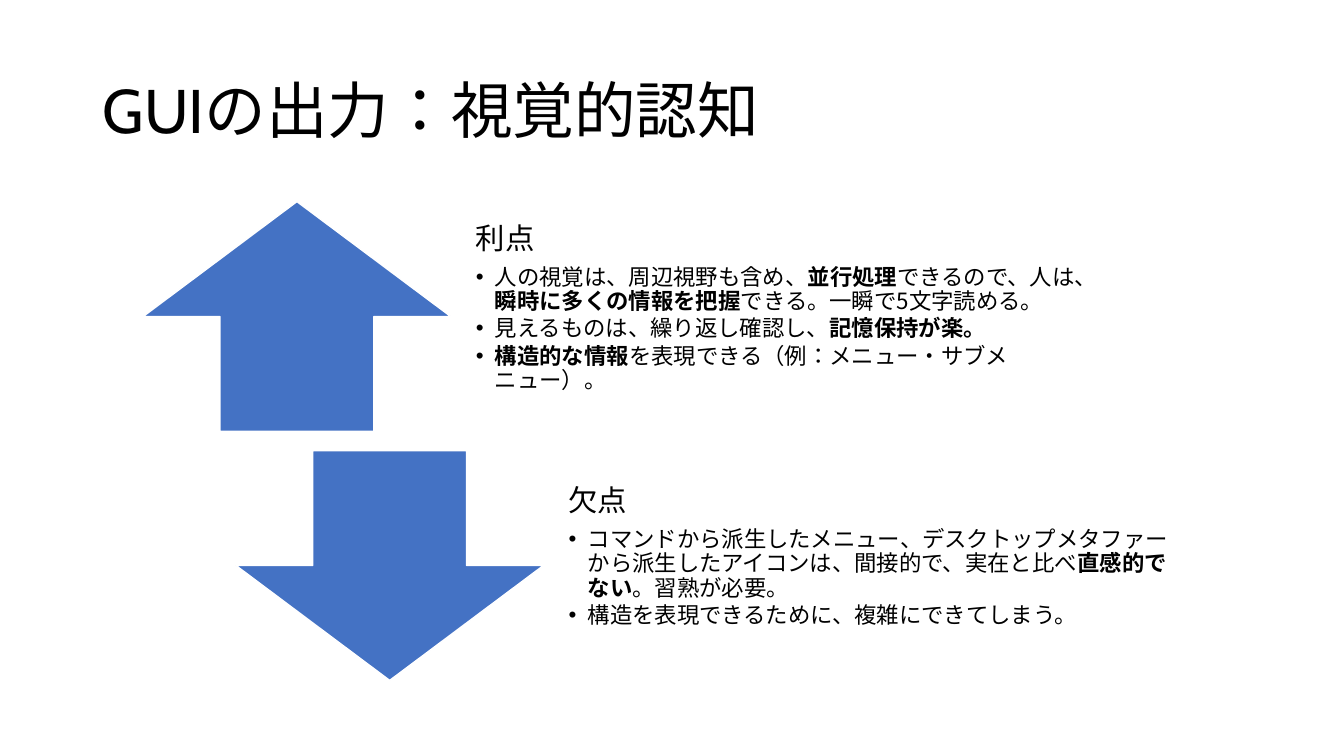
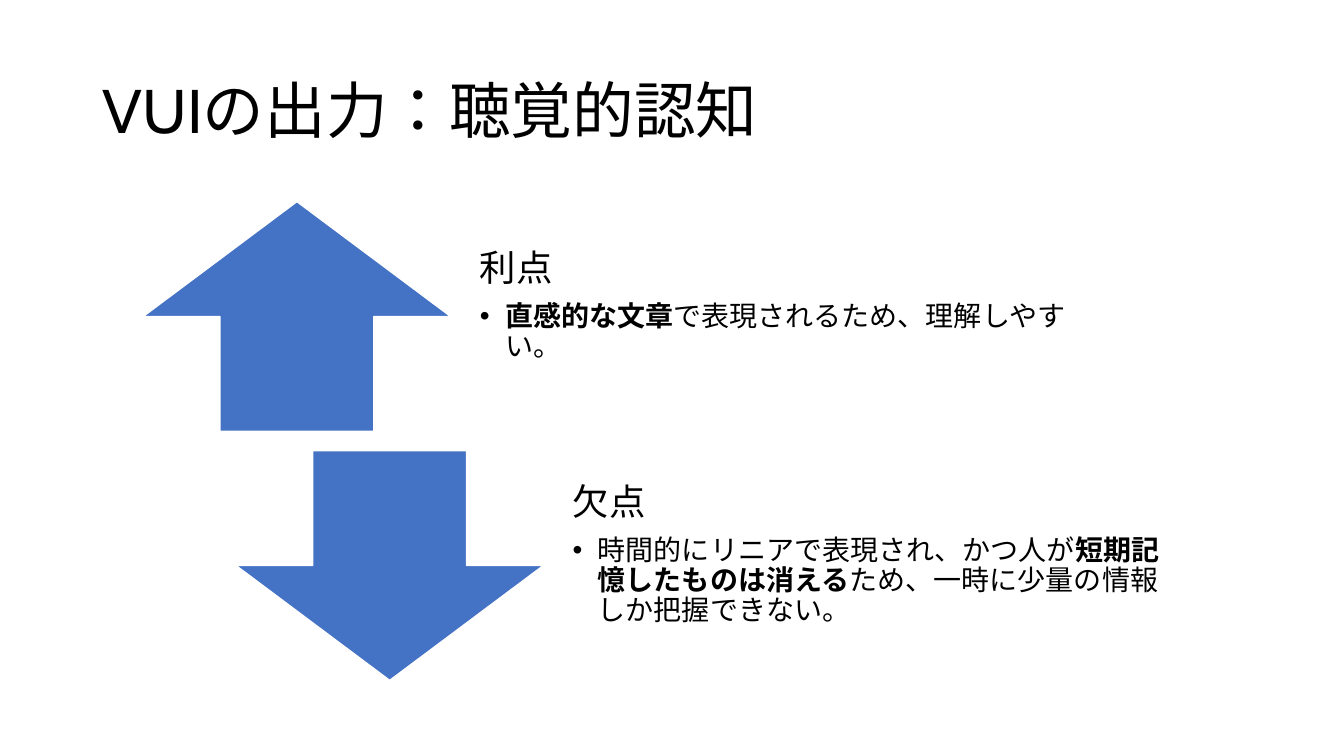
from lxml import etree
from pptx import Presentation
from pptx.dml.color import RGBColor
from pptx.enum.lang import MSO_LANGUAGE_ID
from pptx.enum.shapes import MSO_SHAPE
from pptx.enum.text import MSO_ANCHOR, MSO_AUTO_SIZE, PP_ALIGN
from pptx.oxml.ns import qn
from pptx.util import Inches, Pt

UP, DOWN = MSO_SHAPE.UP_ARROW, MSO_SHAPE.DOWN_ARROW
MIDDLE, LEFT = MSO_ANCHOR.MIDDLE, PP_ALIGN.LEFT
FIXED = MSO_AUTO_SIZE.NONE
JAPANESE = MSO_LANGUAGE_ID.JAPANESE
TITLE_ONLY = 5
COLORS = {"text": "000000", "arrow": "4472C4", "edge": "FFFFFF"}
CABIN, NOTO = "Cabin", "Noto Sans CJK JP"

# Arrow and text panel; the second pair is one step right and down.
X, Y, STEP_X, STEP_Y = 1.42, 2, 0.92, 2.47
ARROW_W, TEXT_W, TEXT_DX, HIGH = 3.05, 6.44, 3.14, 2.28

# Each panel: arrow, heading, bullets as (font, text); *stars* mark bold.
SLIDES = [
    {"title": "GUIの出力：視覚的認知", "head": 21, "size": 16, "indent": 0.19,
     "panels": [
         (UP, "利点", [
             (NOTO, "人の視覚は、周辺視野も含め、*並行処理*できるので、人は、"
                    "*瞬時に多くの情報を把握*できる。一瞬で5文字読める。"),
             (NOTO, "見えるものは、繰り返し確認し、*記憶保持が楽。*"),
             (CABIN, "*構造的な情報*を表現できる（例：メニュー・サブメニュー）。")]),
         (DOWN, "欠点", [
             (NOTO, "コマンドから派生したメニュー、デスクトップメタファーから"
                    "派生したアイコンは、間接的で、実在と比べ*直感的でない*。"
                    "習熟が必要。"),
             (CABIN, "構造を表現できるために、複雑にできてしまう。")])]},
    {"title": "VUIの出力：聴覚的認知", "head": 26, "size": 20, "indent": 0.25,
     "panels": [
         (UP, "利点", [
             (NOTO, "*直感的な文章*で表現されるため、理解しやすい。")]),
         (DOWN, "欠点", [
             (NOTO, "時間的にリニアで表現され、かつ人が*短期記憶したものは"
                    "消える*ため、一時に少量の情報しか把握できない。")])]},
]


class Deck:
    """Holds the shared style and the current slide."""

    def __init__(self):
        """Start an empty wide deck."""
        self.prs = Presentation()
        self.prs.slide_width, self.prs.slide_height = Inches(13.33), Inches(7.5)
        self.slide = None

    def color(self, name):
        """Return a named colour."""
        return RGBColor.from_string(COLORS[name])

    def add_runs(self, para, text, size, font):
        """Add text run by run, bold between stars."""
        para.line_spacing = 0.9
        for i, part in enumerate(text.split("*")):
            if not part:
                continue
            run = para.add_run()
            run.text = part
            face = run.font
            face.size, face.name, face.bold = Pt(size), font, i % 2 == 1
            face.color.rgb = self.color("text")
            face.language_id = JAPANESE
            east = etree.Element(qn("a:ea"), typeface=NOTO)
            run._r.rPr.find(qn("a:latin")).addnext(east)

    def gap(self, para, percent):
        """Set the space after a paragraph as a share of its line."""
        after = etree.SubElement(para._p.get_or_add_pPr(), qn("a:spcAft"))
        etree.SubElement(after, qn("a:spcPct"), val=str(percent * 1000))

    def bullet(self, para, indent):
        """Give a paragraph a hanging bullet."""
        props = para._p.get_or_add_pPr()
        props.set("marL", str(Inches(indent)))
        props.set("indent", str(-Inches(indent)))
        etree.SubElement(props, qn("a:buFont"), typeface="Arial")
        etree.SubElement(props, qn("a:buChar"), char="•")

    def title(self, text):
        """Add a slide and fill its title."""
        layout = self.prs.slide_layouts[TITLE_ONLY]
        self.slide = self.prs.slides.add_slide(layout)
        box = self.slide.shapes.title
        box.left, box.top = Inches(0.92), Inches(0.4)
        box.width, box.height = Inches(11.5), Inches(1.45)
        frame = box.text_frame
        frame.auto_size, frame.vertical_anchor = FIXED, MIDDLE
        frame.word_wrap = True
        para = frame.paragraphs[0]
        para.alignment = LEFT
        self.add_runs(para, text, 44, CABIN)

    def arrow(self, kind, x, y):
        """Draw a block arrow."""
        shape = self.slide.shapes.add_shape(
            kind, Inches(x), Inches(y), Inches(ARROW_W), Inches(HIGH))
        shape.shadow.inherit = False
        shape.fill.solid()
        shape.fill.fore_color.rgb = self.color("arrow")
        shape.line.color.rgb = self.color("edge")
        shape.line.width = Pt(1)

    def panel(self, x, y, head, points, style):
        """Place a heading with its bullets."""
        box = self.slide.shapes.add_textbox(
            Inches(x), Inches(y), Inches(TEXT_W), Inches(HIGH))
        frame = box.text_frame
        frame.word_wrap, frame.vertical_anchor = True, MIDDLE
        inset = Inches(style["size"] / 100)
        frame.margin_left = frame.margin_right = frame.margin_bottom = inset
        frame.margin_top = 0
        para = frame.paragraphs[0]
        self.add_runs(para, head, style["head"], CABIN)
        self.gap(para, 35)
        for font, text in points:
            para = frame.add_paragraph()
            para.level = 1
            self.add_runs(para, text, style["size"], font)
            self.gap(para, 15)
            self.bullet(para, style["indent"])


def main():
    """Build and save the deck."""
    deck = Deck()
    for page in SLIDES:
        deck.title(page["title"])
        for i, (kind, head, points) in enumerate(page["panels"]):
            x, y = X + i * STEP_X, Y + i * STEP_Y
            deck.arrow(kind, x, y)
            deck.panel(x + TEXT_DX, y, head, points, page)
    deck.prs.save("out.pptx")


main()
